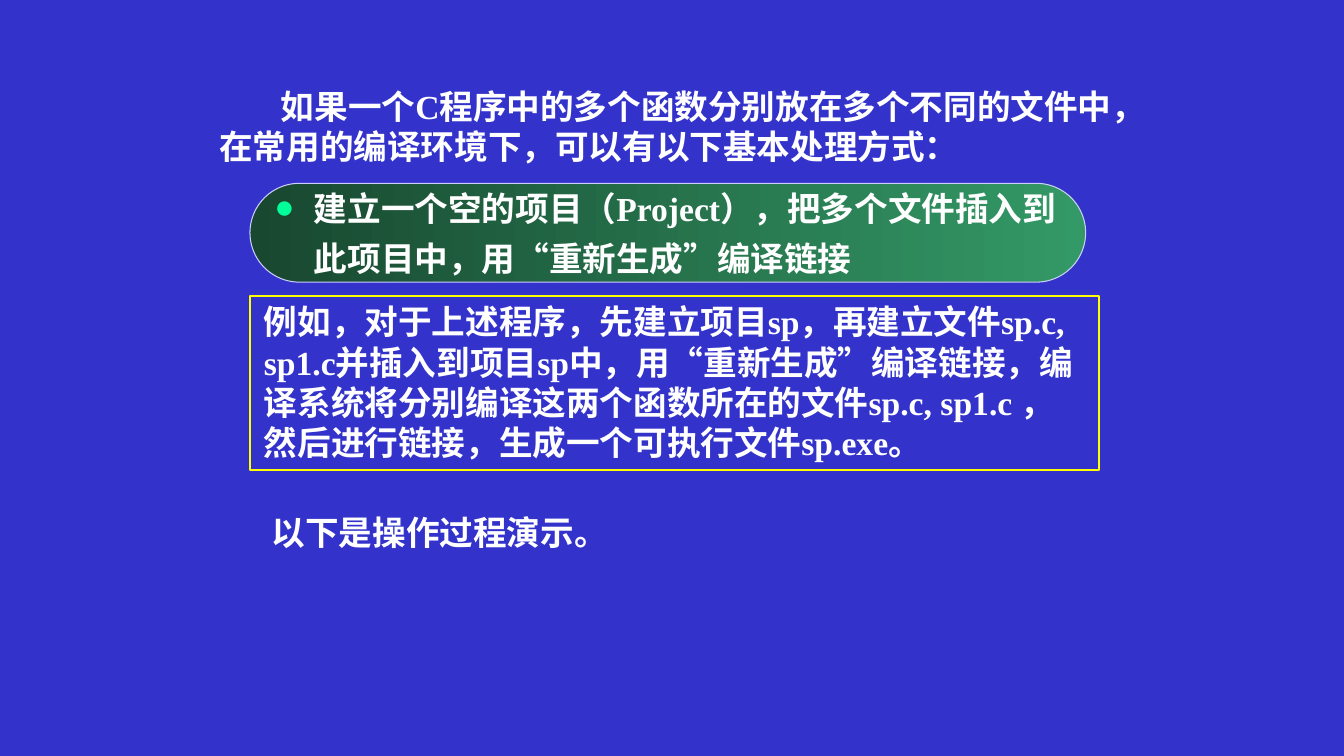
"""Slide on building one C program from several source files."""
from lxml.etree import SubElement
from pptx import Presentation
from pptx.dml.color import RGBColor
from pptx.enum.shapes import MSO_SHAPE as Shape
from pptx.enum.text import MSO_ANCHOR as Anchor, PP_ALIGN as Align
from pptx.oxml.ns import qn
from pptx.util import Cm, Pt

BLUE = RGBColor(0x33, 0x33, 0xCC)
WHITE = RGBColor(0xFF, 0xFF, 0xFF)
YELLOW = RGBColor(0xFF, 0xFF, 0x00)
MINT = RGBColor(0x00, 0xFF, 0x99)
LILAC = RGBColor(0xCC, 0xCC, 0xFF)
DARK_GREEN = RGBColor(0x18, 0x48, 0x30)
GREEN = RGBColor(0x33, 0x99, 0x66)


class MethodSlide:
    """Holds the text style and the current slide."""

    font_name = "Times New Roman"
    font_size = Pt(24)

    def __init__(self, deck):
        """Add a blank slide with a blue background."""
        self.slide = deck.slides.add_slide(deck.slide_layouts[6])
        background = self.slide.background.fill
        background.solid()
        background.fore_color.rgb = BLUE

    def style(self, paragraph):
        """Give a paragraph the common font."""
        paragraph.alignment = Align.LEFT
        font = paragraph.font
        font.name, font.size, font.bold = self.font_name, self.font_size, True
        font.color.rgb = WHITE

    def text(self, words, left, top, width, height, indent=0):
        """Add a wrapped text box with an optional first-line indent."""
        box = self.slide.shapes.add_textbox(Cm(left), Cm(top), Cm(width), Cm(height))
        box.text_frame.word_wrap = True
        paragraph = box.text_frame.paragraphs[0]
        paragraph.text = words
        if indent:
            paragraph._p.get_or_add_pPr().set("indent", str(Cm(indent)))
        self.style(paragraph)

    def outline(self, preset, left, top, width, height, color, weight):
        """Add an unfilled preset shape."""
        shape = self.slide.shapes.add_shape(preset, Cm(left), Cm(top), Cm(width), Cm(height))
        shape.shadow.inherit = False
        shape.fill.background()
        shape.line.color.rgb = color
        shape.line.width = Pt(weight)
        return shape

    def pill(self, lines, left, top, width, height, hang):
        """Add a gradient pill whose first line carries a bullet."""
        pill = self.outline(Shape.ROUNDED_RECTANGLE, left, top, width, height, LILAC, 0.75)
        pill.adjustments[0] = 0.5
        pill.fill.gradient()
        pill.fill.gradient_angle = 0
        for stop, color in zip(pill.fill.gradient_stops, (DARK_GREEN, GREEN)):
            stop.color.rgb = color
        frame = pill.text_frame
        frame.word_wrap = False
        frame.vertical_anchor = Anchor.MIDDLE
        frame.text = "\n".join(lines)
        for number, paragraph in enumerate(frame.paragraphs):
            properties = paragraph._p.get_or_add_pPr()
            properties.set("marL", str(Cm(hang)))
            if number:
                paragraph.space_before = Pt(7)
            else:
                properties.set("indent", str(-Cm(hang)))
                bullet_color = SubElement(properties, qn("a:buClr"))
                SubElement(bullet_color, qn("a:srgbClr"), val=str(MINT))
                SubElement(properties, qn("a:buFont"), typeface=self.font_name)
                SubElement(properties, qn("a:buChar"), char="●")
            self.style(paragraph)


def main():
    """Build and save the slide."""
    deck = Presentation()
    deck.slide_width, deck.slide_height = Cm(33.87), Cm(19.05)
    page = MethodSlide(deck)
    page.text("如果一个C程序中的多个函数分别放在多个不同的文件中，在常用的编译环境下，"
              "可以有以下基本处理方式：", 5.28, 2.03, 23.3, 2.31, indent=1.55)
    page.pill(["建立一个空的项目（Project），把多个文件插入到",
               "此项目中，用“重新生成”编译链接"], 6.3, 4.62, 21.06, 2.49, hang=1)
    page.text("例如，对于上述程序，先建立项目sp，再建立文件sp.c, sp1.c并插入到项目sp中，"
              "用“重新生成”编译链接，编译系统将分别编译这两个函数所在的文件sp.c, sp1.c ，"
              "然后进行链接，生成一个可执行文件sp.exe。", 6.4, 7.47, 21.16, 4.37)
    page.outline(Shape.RECTANGLE, 6.3, 7.47, 21.39, 4.37, YELLOW, 1.5)
    page.text("以下是操作过程演示。", 6.6, 12.78, 9.35, 1.27)
    deck.save("out.pptx")


if __name__ == "__main__":
    main()
